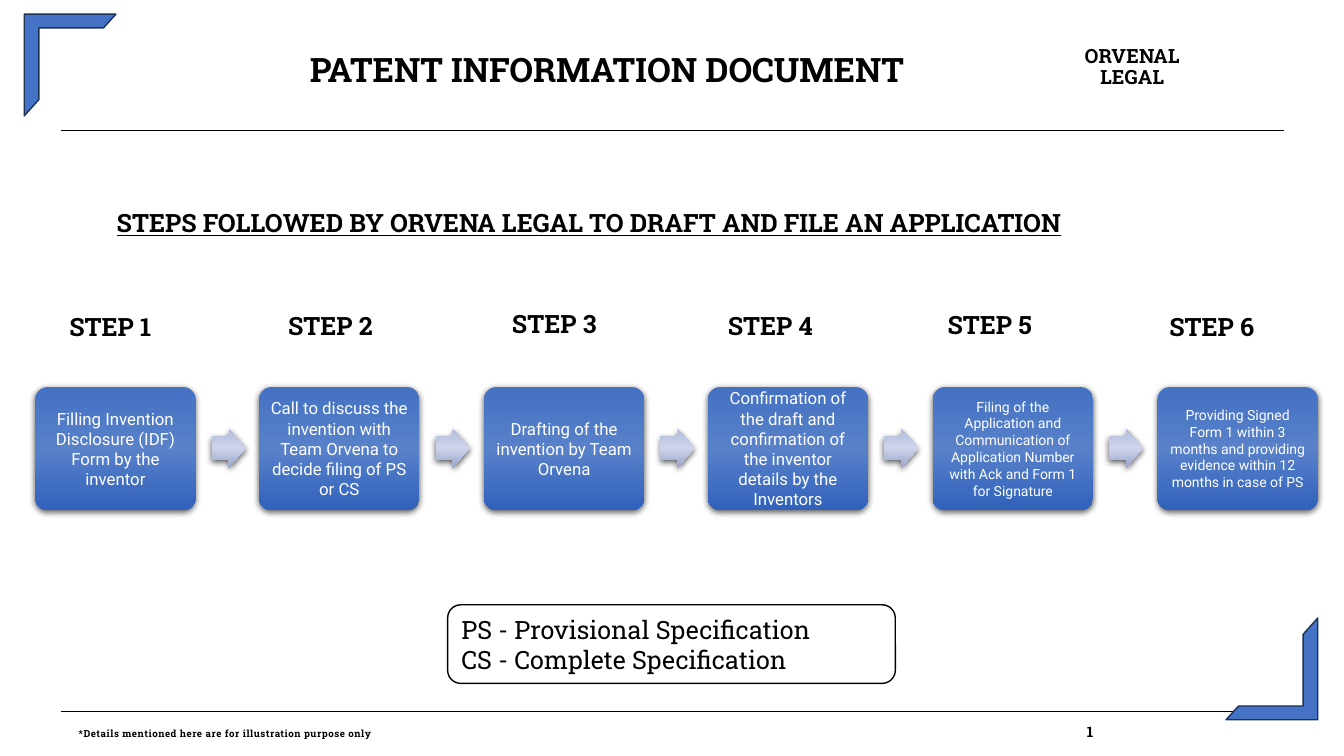
from dataclasses import dataclass

from lxml import etree
from pptx import Presentation
from pptx.dml.color import RGBColor
from pptx.enum.shapes import MSO_CONNECTOR, MSO_SHAPE
from pptx.enum.text import MSO_ANCHOR, MSO_AUTO_SIZE, PP_ALIGN
from pptx.oxml.ns import qn
from pptx.util import Pt

EMU_PER_PX = 9144
TITLE_ONLY_LAYOUT = 5
LEFT, CENTER = PP_ALIGN.LEFT, PP_ALIGN.CENTER
TOP, MIDDLE = MSO_ANCHOR.TOP, MSO_ANCHOR.MIDDLE
STRAIGHT = MSO_CONNECTOR.STRAIGHT
NO_AUTOFIT = MSO_AUTO_SIZE.NONE
ROUNDED = MSO_SHAPE.ROUNDED_RECTANGLE
ARROW = MSO_SHAPE.RIGHT_ARROW
HALF_FRAME = MSO_SHAPE.HALF_FRAME


@dataclass(frozen=True)
class Theme:
    heading_font: str = "Roboto Slab"
    card_font: str = "Roboto"
    ink: str = "000000"
    paper: str = "FFFFFF"
    corner: str = "4472C4"
    corner_edge: str = "1E3256"
    card_stops: tuple = ("4471C2", "5881CA", "3062BB")
    arrow_stops: tuple = ("B1BBDB", "CDD4EA", "98A4CB")
    title_size: float = 24
    heading_size: float = 18
    name_size: float = 14
    card_size: float = 12
    small_card_size: float = 10
    number_size: float = 10.5
    note_size: float = 7


def px(length):
    return length * EMU_PER_PX


class SlideBuilder:
    def __init__(self, page, theme):
        self.page = page
        self.theme = theme

    def frame(self, box, inset=(0, 0), anchor=TOP):
        frame = box.text_frame
        frame.word_wrap = True
        frame.auto_size = NO_AUTOFIT
        frame.vertical_anchor = anchor
        frame.margin_left = frame.margin_right = px(inset[0])
        frame.margin_top = frame.margin_bottom = px(inset[1])
        return frame

    def span(self, para, text, size, font=None, color=None, bold=True,
             underline=False, spacing=0):
        span = para.add_run()
        span.text = text
        span.font.name = font or self.theme.heading_font
        span.font.size = Pt(size)
        span.font.bold = bold
        span.font.underline = underline
        span.font.color.rgb = RGBColor.from_string(color or self.theme.ink)
        if spacing:
            span.font._element.set("spc", str(spacing))

    def title(self, text, *place):
        box = self.page.shapes.title
        box.left, box.top, box.width, box.height = map(px, place)
        para = self.frame(box, anchor=MIDDLE).paragraphs[0]
        para.alignment = CENTER
        self.span(para, text, self.theme.title_size)

    def text_box(self, *place, inset=(10, 5)):
        box = self.page.shapes.add_textbox(*map(px, place))
        return self.frame(box, inset).paragraphs[0]

    def heading(self, text, *place, underline=False):
        para = self.text_box(*place)
        self.span(para, text, self.theme.heading_size, underline=underline)

    def rule(self, left, right, top):
        line = self.page.shapes.add_connector(
            STRAIGHT, px(left), px(top), px(right), px(top))
        line.line.color.rgb = RGBColor.from_string(self.theme.ink)
        line.line.width = Pt(0.48)
        etree.SubElement(line._element.spPr, qn("a:effectLst"))

    def shape(self, kind, *place, adjustments=()):
        shape = self.page.shapes.add_shape(kind, *map(px, place))
        shape.shadow.inherit = False
        for index, value in enumerate(adjustments):
            shape.adjustments[index] = value
        return shape

    def flat_shape(self, kind, *place, fill, edge, adjustments=()):
        shape = self.shape(kind, *place, adjustments=adjustments)
        shape.fill.solid()
        shape.fill.fore_color.rgb = RGBColor.from_string(fill)
        shape.line.color.rgb = RGBColor.from_string(edge)
        shape.line.width = Pt(1)
        return shape

    def raised_shape(self, kind, *place, stops, adjustments):
        shape = self.shape(kind, *place, adjustments=adjustments)
        shape.line.fill.background()
        shape.fill.gradient()
        shape.fill.gradient_angle = 270
        properties = shape._element.spPr
        stop_list = properties.find(qn("a:gradFill")).find(qn("a:gsLst"))
        for stop in list(stop_list):
            stop_list.remove(stop)
        for index, color in enumerate(stops):
            stop = etree.SubElement(stop_list, qn("a:gs"), pos=str(index * 50000))
            etree.SubElement(stop, qn("a:srgbClr"), val=color)
        shadow = etree.SubElement(
            properties.find(qn("a:effectLst")), qn("a:outerShdw"),
            blurRad=str(Pt(4.5)), dist=str(Pt(1.5)), dir="5400000",
            algn="ctr", rotWithShape="0")
        tone = etree.SubElement(shadow, qn("a:srgbClr"), val=self.theme.ink)
        etree.SubElement(tone, qn("a:alpha"), val="63000")
        return shape

    def card(self, text, size, *place):
        card = self.raised_shape(ROUNDED, *place, stops=self.theme.card_stops,
                                 adjustments=(0.1,))
        para = self.frame(card, (8, 8), MIDDLE).paragraphs[0]
        para.alignment = CENTER
        self.span(para, text, size, self.theme.card_font, self.theme.paper,
                  bold=False)

    def arrow(self, *place):
        self.raised_shape(ARROW, *place, stops=self.theme.arrow_stops,
                          adjustments=(0.6, 0.5))

    def corner(self, left, top, rotation=0):
        corner = self.flat_shape(
            HALF_FRAME, left, top, 91, 101, fill=self.theme.corner,
            edge=self.theme.corner_edge, adjustments=(0.15, 0.16))
        corner.rotation = rotation

    def legend(self, lines, *place):
        box = self.flat_shape(ROUNDED, *place, fill=self.theme.paper,
                              edge=self.theme.ink)
        frame = self.frame(box, (10, 5), MIDDLE)
        for index, text in enumerate(lines):
            para = frame.add_paragraph() if index else frame.paragraphs[0]
            para.alignment = LEFT
            self.span(para, text, self.theme.heading_size, bold=False)

    def firm_name(self, lines, *place):
        para = self.text_box(*place, inset=(0, 0))
        para.alignment = CENTER
        para.line_spacing = Pt(15)
        for index, text in enumerate(lines):
            if index:
                para.add_line_break()
            self.span(para, text, self.theme.name_size, spacing=10)

    def footer(self, note, number, number_left, *place):
        para = self.text_box(*place, inset=(0, 0))
        tabs = etree.SubElement(para._p.get_or_add_pPr(), qn("a:tabLst"))
        etree.SubElement(tabs, qn("a:tab"), pos=str(px(number_left)), algn="l")
        self.span(para, note + "\t", self.theme.note_size, spacing=40)
        self.span(para, number, self.theme.number_size)


def main():
    deck = Presentation()
    deck.slide_width, deck.slide_height = px(1333), px(750)
    page = deck.slides.add_slide(deck.slide_layouts[TITLE_ONLY_LAYOUT])
    theme = Theme()
    slide = SlideBuilder(page, theme)

    slide.title("PATENT INFORMATION DOCUMENT", 151, 51, 902, 35)
    slide.firm_name(("ORVENAL", "LEGAL"), 1063, 46, 120, 43)
    for top in (129, 706):
        slide.rule(61, 1273, top)
    slide.heading("STEPS FOLLOWED BY ORVENA LEGAL TO DRAFT AND FILE AN APPLICATION",
                  106, 201, 1120, 40, underline=True)

    large, small = theme.card_size, theme.small_card_size
    steps = (
        (59, 304, large, "Filling Invention Disclosure (IDF) Form by the inventor"),
        (276, 303, large, "Call to discuss the invention with Team Orvena to "
                          "decide filing of PS or CS"),
        (498, 301, large, "Drafting of the invention by Team Orvena"),
        (712, 303, large, "Confirmation of the draft and confirmation of the "
                          "inventor details by the Inventors"),
        (930, 302, small, "Filing of the Application and Communication of "
                          "Application Number with Ack and Form 1 for Signature"),
        (1150, 304, small, "Providing Signed Form 1 within 3 months and "
                           "providing evidence within 12 months in case of PS"),
    )
    for index, (label_left, label_top, size, text) in enumerate(steps):
        card_left = 35 + index * 1113 // 5
        slide.heading(f"STEP {index + 1}", label_left, label_top, 130, 40)
        slide.card(text, size, card_left, 384, 159, 122)
        if index < len(steps) - 1:
            slide.arrow(card_left + 175, 425, 34, 39)

    slide.legend(("PS - Provisional Specification", "CS - Complete Specification"),
                 444, 600, 444, 78)
    slide.corner(24, 14)
    slide.corner(1216, 613, rotation=180)
    slide.footer("*Details mentioned here are for illustration purpose only",
                 "1", 1000, 78, 717, 1192, 22)
    deck.save("out.pptx")


if __name__ == "__main__":
    main()
